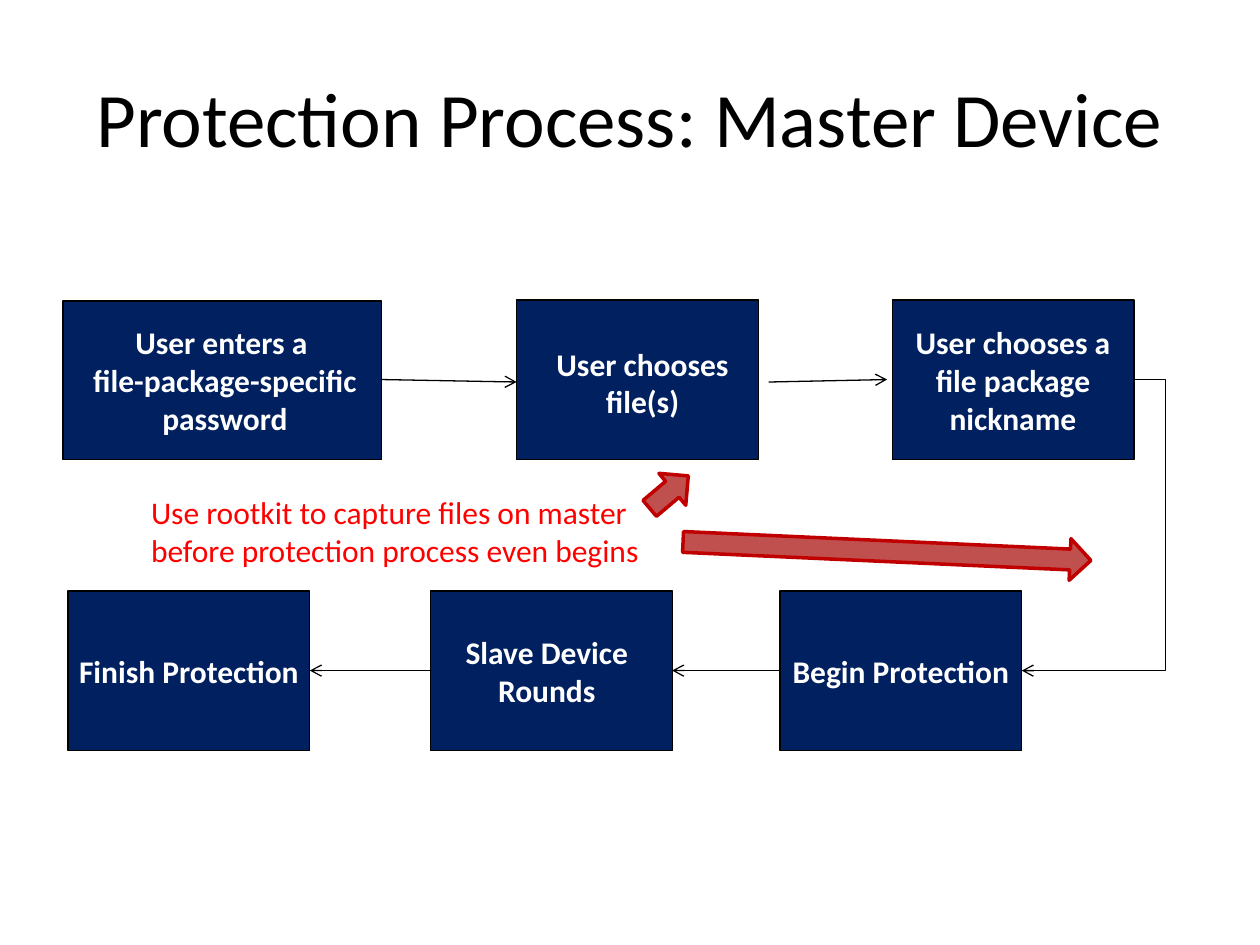
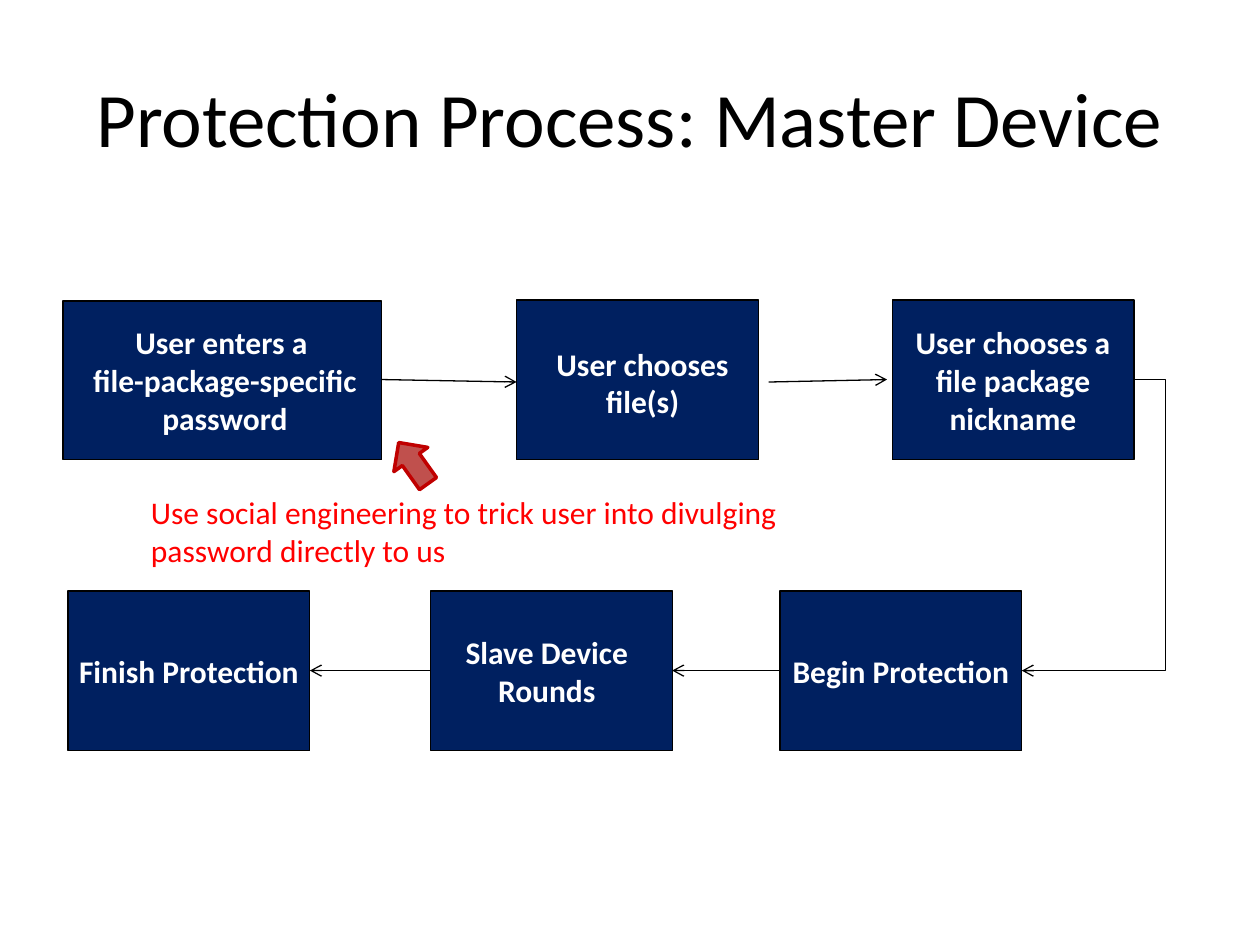
from lxml import etree
from pptx import Presentation
from pptx import util as u
from pptx.dml.color import RGBColor
from pptx.enum import shapes, text
from pptx.oxml.ns import qn

NAVY, BLACK, WHITE = "002060", "000000", "FFFFFF"
RED, ARROW_FILL, ARROW_EDGE = "FF0000", "C0504D", "C00000"
CENTER, LEFT = text.PP_ALIGN.CENTER, text.PP_ALIGN.LEFT

TITLE_FORMAT = {"name": "Calibri", "size": u.Pt(44), "bold": False}
LABEL_FORMAT = {"name": "Calibri", "size": u.Pt(18), "bold": True}
CALLOUT_FORMAT = {"name": "Calibri", "size": u.Pt(18), "bold": False}

STEP_W, STEP_H, LABEL_W = 138.2, 91.4, 144
TOP_ROW, BOTTOM_ROW = 171.4, 337.7
TOP_MIDDLE, BOTTOM_MIDDLE = 216.9, 383.2
LINE_H, INSETS = 21.75, 7.2

# (box left, top, width, height), (label left, width, middle), lines, paragraphs
STEPS = [
    ((36, 172.1, 182.2, 90.7), (38.9, 179.3, 217.1), 3,
     ["User enters a ", "file-package-specific password"]),
    ((295.2, TOP_ROW, STEP_W, STEP_H), (295.2, LABEL_W, 218.5), 2,
     ["User chooses file(s)"]),
    ((509.8, TOP_ROW, STEP_W, STEP_H), (506.9, LABEL_W, 217.1), 3,
     ["User chooses a file package nickname"]),
    ((445.7, BOTTOM_ROW, STEP_W, STEP_H), (442.8, LABEL_W, 383.2), 1,
     ["Begin Protection"]),
    ((246.2, BOTTOM_ROW, STEP_W, STEP_H), (240.5, LABEL_W, 383.2), 2,
     ["Slave Device Rounds"]),
    ((38.9, BOTTOM_ROW, STEP_W, STEP_H), (36, LABEL_W, 383.2), 1,
     ["Finish Protection"]),
]

FLOWS = [
    ((218.2, TOP_MIDDLE), (295.2, 218.3)),
    ((439.2, 218.3), (506.9, TOP_MIDDLE)),
    ((445.7, BOTTOM_MIDDLE), (384.1, BOTTOM_MIDDLE)),
    ((246.2, BOTTOM_MIDDLE), (177.1, BOTTOM_MIDDLE)),
]
TURN = ((648, TOP_MIDDLE), (583.9, BOTTOM_MIDDLE))
TURN_BEND = -28300

ATTACKS = [
    (["Use rootkit to capture files on master ",
      "before protection process even begins"], 296.6,
     [((367.9, 269.3, 28.8, 23.8), 319.9), ((390.2, 303.1, 233.3, 23.8), 2.6)]),
    (["Use social engineering to trick user into divulging",
      "password directly to us"], 376.6,
     [((221.8, 252.7, 28.8, 23.8), 234.5)]),
]


def color(code):
    return RGBColor.from_string(code)


def points(values):
    return [u.Pt(value) for value in values]


def apply(target, values):
    for key, value in values.items():
        setattr(target, key, value)


def add_text(slide, area, paragraphs, font_format, ink, align, wrap=True):
    frame = slide.shapes.add_textbox(*points(area)).text_frame
    apply(frame, {"word_wrap": wrap,
                  "vertical_anchor": text.MSO_ANCHOR.MIDDLE})
    for index, words in enumerate(paragraphs):
        paragraph = frame.add_paragraph() if index else frame.paragraphs[0]
        paragraph.alignment = align
        run = paragraph.add_run()
        run.text = words
        apply(run.font, font_format)
        run.font.color.rgb = color(ink)


def add_filled(slide, preset, area, fill, edge, weight, rotation=0):
    figure = slide.shapes.add_shape(preset, *points(area))
    figure.shadow.inherit = False
    figure.fill.solid()
    figure.fill.fore_color.rgb = color(fill)
    figure.line.color.rgb = color(edge)
    figure.line.width = u.Pt(weight)
    figure.rotation = rotation


def add_step(slide, box, label, lines, paragraphs):
    add_filled(slide, shapes.MSO_SHAPE.RECTANGLE, box, NAVY, BLACK, 0.75)
    left, width, middle = label
    height = lines * LINE_H + INSETS
    add_text(slide, (left, middle - height / 2, width, height),
             paragraphs, LABEL_FORMAT, WHITE, CENTER)


def add_flow(slide, start, end, bend=None):
    kind = shapes.MSO_CONNECTOR.STRAIGHT if bend is None else shapes.MSO_CONNECTOR.ELBOW
    flow = slide.shapes.add_connector(kind, *points(start + end))
    flow.line.color.rgb = color(BLACK)
    flow.line.width = u.Pt(0.75)
    properties = flow._element.spPr
    etree.SubElement(properties.find(qn("a:ln")), qn("a:tailEnd"), type="arrow")
    etree.SubElement(properties, qn("a:effectLst"))
    if bend is not None:
        geometry = properties.find(qn("a:prstGeom"))
        guides = geometry.find(qn("a:avLst"))
        if guides is None:
            guides = etree.SubElement(geometry, qn("a:avLst"))
        etree.SubElement(guides, qn("a:gd"), name="adj1", fmla=f"val {bend}")


def add_process(slide):
    for step in STEPS:
        add_step(slide, *step)
    for start, end in FLOWS:
        add_flow(slide, start, end)
    add_flow(slide, *TURN, bend=TURN_BEND)
    add_text(slide, (36, 21.6, 648, 90), ["Protection Process: Master Device"],
             TITLE_FORMAT, BLACK, CENTER)


def add_attack(slide, paragraphs, width, arrows):
    for area, rotation in arrows:
        add_filled(slide, shapes.MSO_SHAPE.RIGHT_ARROW, area,
                   ARROW_FILL, ARROW_EDGE, 2, rotation)
    add_text(slide, (79.2, 277.9, width, 50.9), paragraphs,
             CALLOUT_FORMAT, RED, LEFT, wrap=False)


def main():
    deck = Presentation()
    apply(deck, {"slide_width": u.Pt(720), "slide_height": u.Pt(540)})
    for attack in ATTACKS:
        slide = deck.slides.add_slide(deck.slide_layouts[6])
        add_process(slide)
        add_attack(slide, *attack)
    deck.save("out.pptx")


main()
